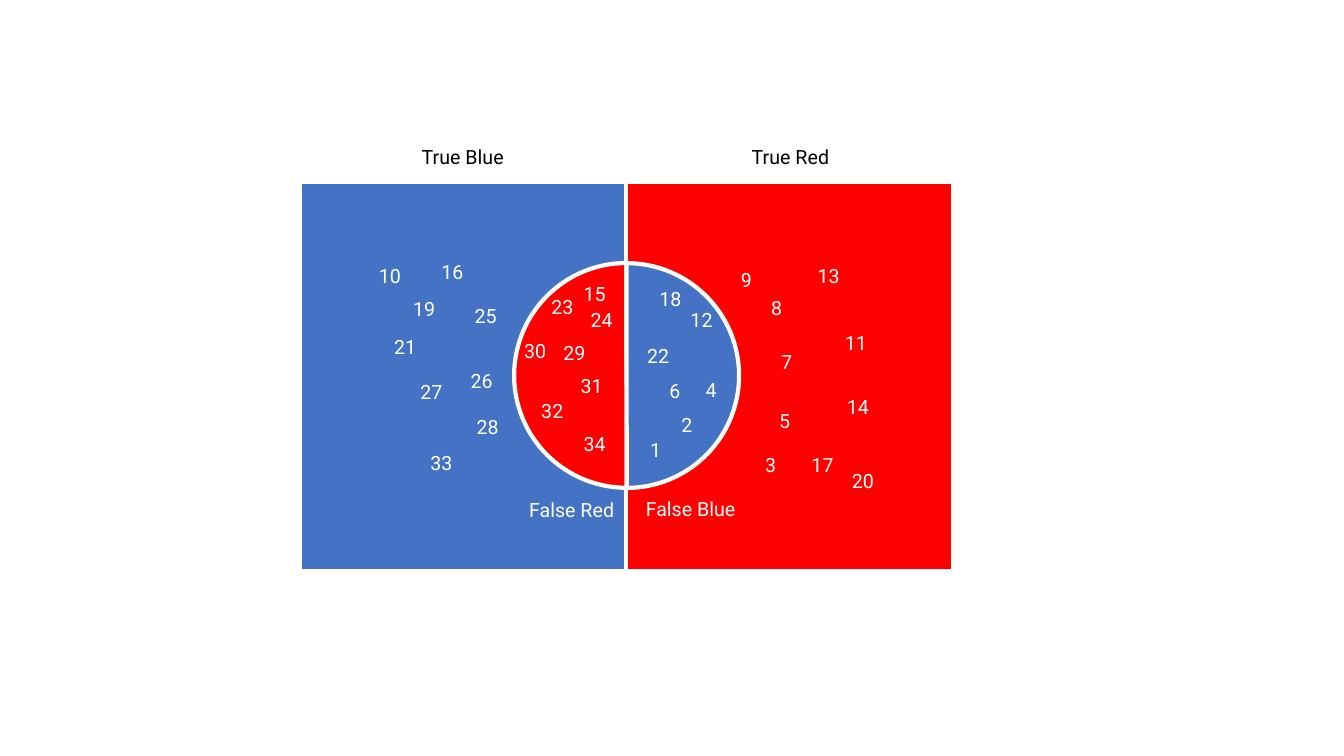
import typing

import pptx
import pptx.dml.color
import pptx.enum.shapes
import pptx.enum.text
import pptx.util

# The page grid has cells of a hundredth of an inch.
CELL = pptx.util.Inches(0.01)
COLUMNS, ROWS = 1333, 750
BLUE, RED, WHITE, BLACK = "4472C4", "FF0000", "FFFFFF", "000000"
SHAPES = pptx.enum.shapes.MSO_SHAPE
ALIGN = pptx.enum.text.PP_ALIGN

MIDDLE = 621
PANEL_TOP, PANEL_WIDTH, PANEL_HEIGHT = 180, 324, 387
CIRCLE_LEFT, CIRCLE_TOP, DIAMETER = 510, 261, 223
HALF_CIRCLE = (53.94, 162)
TEXT_HEIGHT, CAPTION_WIDTH = 34, 158
FRAME_FORMAT = {
    "word_wrap": True,
    "auto_size": pptx.enum.text.MSO_AUTO_SIZE.SHAPE_TO_FIT_TEXT,
}
FONT_FORMAT = {"name": "Roboto", "size": pptx.util.Pt(14)}


class Region(typing.NamedTuple):
    """A coloured part of the diagram."""
    kind: SHAPES
    left: int
    top: int
    width: int
    height: int
    fill: str
    rotation: int = 0
    adjustments: tuple[float, ...] = ()


class Label(typing.NamedTuple):
    """A line of text with its box on the grid."""
    text: str
    left: int
    top: int
    width: int = CAPTION_WIDTH
    color: str = WHITE
    align: ALIGN = ALIGN.CENTER


REGIONS = [
    Region(SHAPES.RECTANGLE, MIDDLE - PANEL_WIDTH, PANEL_TOP,
           PANEL_WIDTH, PANEL_HEIGHT, BLUE),
    Region(SHAPES.RECTANGLE, MIDDLE, PANEL_TOP, PANEL_WIDTH, PANEL_HEIGHT, RED),
] + [
    Region(SHAPES.PIE, CIRCLE_LEFT, CIRCLE_TOP, DIAMETER, DIAMETER,
           fill, rotation, HALF_CIRCLE)
    for fill, rotation in ((RED, 0), (BLUE, 180))
]

CAPTIONS = [
    Label("True Blue", 380, 139, color=BLACK),
    Label("True Red", 705, 139, color=BLACK),
    Label("False Blue", 606, 488),
    Label("False Red", 461, 489, align=ALIGN.RIGHT),
]

# Each number maps to the left column and top row of its box.
RIGHT_NUMBERS = {
    1: (635, 430), 2: (666, 405), 3: (749, 444), 5: (763, 401),
    4: (690, 370), 6: (654, 371), 12: (675, 301), 7: (765, 342),
    8: (755, 289), 9: (725, 261), 11: (828, 323), 13: (801, 257),
    14: (830, 387), 17: (795, 444), 18: (644, 280), 22: (632, 336),
    20: (835, 460),
}
LEFT_NUMBERS = {
    10: (366, 257), 16: (428, 253), 19: (400, 290), 21: (381, 327),
    25: (461, 297), 26: (457, 361), 27: (407, 372), 28: (463, 407),
    33: (417, 442), 15: (569, 275), 23: (537, 288), 24: (576, 301),
    29: (549, 333), 30: (510, 331), 31: (566, 366), 32: (527, 391),
    34: (569, 424),
}
NUMBERS = [
    Label(str(number), left, top, width, align=ALIGN.LEFT)
    for numbers, width in ((RIGHT_NUMBERS, 55), (LEFT_NUMBERS, 74))
    for number, (left, top) in numbers.items()
]


def rgb(color: str) -> pptx.dml.color.RGBColor:
    """Turn a hex string into a colour."""
    return pptx.dml.color.RGBColor.from_string(color)


def cells(*counts: int) -> list[int]:
    """Turn counts of grid cells into lengths."""
    return [count * CELL for count in counts]


def apply_format(target: typing.Any, values: dict[str, typing.Any]) -> None:
    """Set each named attribute of the target."""
    for name, value in values.items():
        setattr(target, name, value)


def draw_region(page: typing.Any, region: Region) -> None:
    """Draw a filled shape with a white outline."""
    shape = page.shapes.add_shape(
        region.kind,
        *cells(region.left, region.top, region.width, region.height))
    shape.shadow.inherit = False
    shape.rotation = region.rotation
    for index, value in enumerate(region.adjustments):
        shape.adjustments[index] = value
    shape.fill.solid()
    shape.fill.fore_color.rgb = rgb(region.fill)
    shape.line.color.rgb = rgb(WHITE)
    shape.line.width = pptx.util.Pt(3)


def draw_label(page: typing.Any, label: Label) -> None:
    """Write one line of text."""
    box = page.shapes.add_textbox(
        *cells(label.left, label.top, label.width, TEXT_HEIGHT))
    apply_format(box.text_frame, FRAME_FORMAT)
    para = box.text_frame.paragraphs[0]
    para.alignment = label.align
    span = para.add_run()
    span.text = label.text
    apply_format(span.font, FONT_FORMAT)
    span.font.color.rgb = rgb(label.color)


def main() -> None:
    """Build and save the deck."""
    deck = pptx.Presentation()
    deck.slide_width, deck.slide_height = cells(COLUMNS, ROWS)
    page = deck.slides.add_slide(deck.slide_layouts.get_by_name("Blank"))
    for region in REGIONS:
        draw_region(page, region)
    for label in CAPTIONS + NUMBERS:
        draw_label(page, label)
    deck.save("out.pptx")


main()
